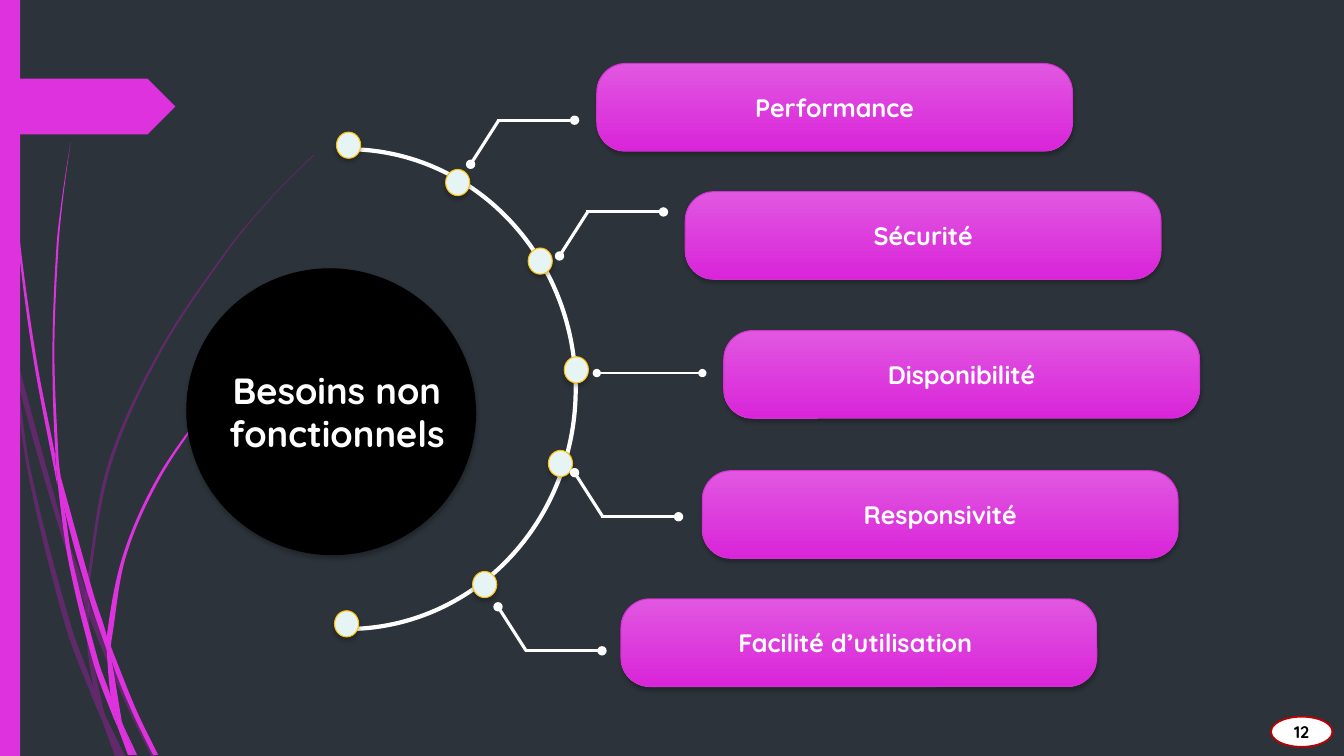
from dataclasses import dataclass
from math import hypot
from typing import NamedTuple

from lxml.etree import SubElement
from pptx import Presentation
from pptx.dml.color import RGBColor
from pptx.enum.shapes import MSO_CONNECTOR, MSO_SHAPE
from pptx.enum.text import MSO_ANCHOR, MSO_AUTO_SIZE, PP_ALIGN
from pptx.oxml.ns import qn
from pptx.util import Cm, Pt

COLORS = {
    "background": "2C333A", "accent": "DE32DE", "faint": "B01CB0", "black": "000000",
    "white": "FFFFFF", "dot": "E6F4F4", "gold": "FFC000", "card_top": "E157E1",
    "card_bottom": "D925D9", "card_line": "D430D4", "badge_line": "C00000",
}
WISP_UNIT = Cm(0.0254)


class Box(NamedTuple):
    left: float
    top: float
    width: float
    height: float


@dataclass
class Leader:
    x: float
    y: float
    direction: int


@dataclass
class Card:
    text: str
    left: float
    top: float


FAINT_WISPS = [
    [(11, 350), (9, 322), (0, 282), (0, 299), (10, 344)],
    [(58, 522), (84, 599), (85, 586), (62, 520), (14, 345), (17, 376)],
    [(92, 607), (88, 596), (88, 610), (123, 694), (150, 750), (155, 750), (127, 692)],
    [(119, 750), (124, 750), (105, 711)],
    [(93, 683), (70, 619), (31, 469), (17, 376), (11, 350), (28, 470), (65, 621), (92, 693), (101, 714), (99, 707)],
    [(84, 599), (87, 646), (93, 683), (96, 692), (105, 711), (103, 706), (91, 646), (88, 610), (88, 608)],
    [(88, 584), (110, 462), (160, 349), (229, 245), (268, 198), (290, 175), (312, 154), (312, 153), (289, 175),
     (268, 197), (228, 244), (158, 348), (107, 461), (85, 584), (85, 586), (88, 596)],
    [(101, 714), (114, 750), (119, 750)],
    [(88, 608), (88, 610), (88, 596), (85, 586), (84, 599)],
    [(96, 692), (93, 683), (99, 707), (101, 714), (119, 750), (105, 711)],
]
ACCENT_WISPS = [
    [(7, 110), (17, 233), (33, 355), (56, 477), (57, 481), (55, 457), (55, 453), (36, 355), (19, 232), (8, 109),
     (5, 48), (4, 0), (3, 0), (4, 48)],
    [(88, 592), (106, 645), (106, 631), (93, 590), (60, 472), (64, 505)],
    [(113, 649), (110, 641), (111, 656), (132, 708), (152, 749), (157, 749), (136, 706)],
    [(110, 691), (98, 657), (72, 556), (64, 505), (57, 477), (68, 557), (93, 659), (111, 708), (117, 722),
     (116, 717)],
    [(60, 472), (58, 453), (54, 349), (58, 245), (63, 193), (70, 141), (62, 193), (56, 245), (52, 349), (55, 449)],
    [(133, 749), (136, 749), (122, 719)],
    [(57, 477), (64, 505), (60, 472), (55, 449), (55, 453)],
    [(111, 633), (125, 552), (158, 476), (205, 406), (231, 374), (245, 359), (261, 344), (260, 344), (245, 358),
     (231, 373), (204, 405), (156, 474), (122, 551), (106, 631), (110, 641)],
    [(117, 722), (127, 749), (131, 749)],
    [(106, 645), (110, 691), (116, 706), (122, 719), (121, 716), (111, 656), (109, 651)],
    [(106, 645), (109, 651), (111, 656), (110, 641), (106, 631)],
    [(116, 706), (110, 691), (116, 717), (117, 722), (130, 749), (133, 749), (122, 719)],
]
DOTS = [(8.48, 3.33), (8.43, 15.39), (13.82, 11.35), (14.22, 8.99), (13.31, 6.25), (11.23, 4.27), (11.91, 14.4)]
LEADERS = [Leader(11.86, 4.14, -1), Leader(14.1, 6.45, -1), Leader(14.48, 11.91, 1), Leader(12.55, 15.29, 1)]
CARDS = [Card("Performance", 15.04, 1.6), Card("Sécurité", 17.27, 4.83), Card("Disponibilité", 18.24, 8.33),
         Card("Responsivité", 17.7, 11.86), Card("Facilité d’utilisation ", 15.65, 15.09)]


def rgb(name: str) -> RGBColor:
    return RGBColor.from_string(COLORS[name])


def add_child(parent, tag: str, **attributes):
    return SubElement(parent, qn(tag), {key: str(value) for key, value in attributes.items()})


def add_shadow(shape) -> None:
    effects = shape._element.spPr.find(qn("a:effectLst"))
    shadow = add_child(effects, "a:outerShdw", blurRad=Pt(3), dist=Pt(2), dir=90 * 60000, rotWithShape=0)
    add_child(add_child(shadow, "a:srgbClr", val=COLORS["black"]), "a:alpha", val=25000)


def paint(shape, fill: str | None, line: str | None = None, line_width: float = 0.75) -> None:
    shape.shadow.inherit = False
    if fill:
        shape.fill.solid()
        shape.fill.fore_color.rgb = rgb(fill)
    else:
        shape.fill.background()
    if line:
        shape.line.color.rgb = rgb(line)
        shape.line.width = Pt(line_width)
    else:
        shape.line.fill.background()


def add_shape(slide, kind, box: Box, fill: str | None, line: str | None = None, line_width: float = 0.75):
    shape = slide.shapes.add_shape(kind, *(Cm(value) for value in box))
    paint(shape, fill, line, line_width)
    return shape


def write(shape, text: str, size: float, color: str, anchor) -> None:
    frame = shape.text_frame
    frame.text = text
    frame.word_wrap = True
    frame.vertical_anchor = anchor
    frame.paragraphs[0].alignment = PP_ALIGN.CENTER
    font = frame.paragraphs[0].runs[0].font
    for name, value in {"name": "Quicksand", "size": Pt(size), "bold": True}.items():
        setattr(font, name, value)
    font.color.rgb = rgb(color)


def direction(before, knot, after) -> tuple[float, float]:
    """Unit tangent at a knot, or zero where the outline has a corner."""
    (ax, ay), (bx, by) = [(q[0] - p[0], q[1] - p[1]) for p, q in ((before, knot), (knot, after))]
    if ax * bx + ay * by < 0.7 * hypot(ax, ay) * hypot(bx, by):
        return 0, 0
    length = hypot(ax + bx, ay + by)
    return (ax + bx) / length, (ay + by) / length


def curve_outline(shape) -> None:
    """Turn the straight sides of a closed freeform into smooth curves."""
    sides = list(shape._element.iter(qn("a:lnTo")))
    knots = [(int(side[0].get("x")), int(side[0].get("y"))) for side in sides]
    count = len(knots)
    tangents = [direction(knots[i - 1], knots[i], knots[(i + 1) % count]) for i in range(count)]
    for i, side in enumerate(sides):
        start, end = knots[i - 1], knots[i]
        reach = hypot(end[0] - start[0], end[1] - start[1]) / 3
        controls = [[round(start[axis] + reach * tangents[i - 1][axis]) for axis in (0, 1)],
                    [round(end[axis] - reach * tangents[i][axis]) for axis in (0, 1)]]
        curve = add_child(side.getparent(), "a:cubicBezTo")
        for x, y in (*controls, end):
            add_child(curve, "a:pt", x=x, y=y)
        side.getparent().replace(side, curve)


def add_wisp(slide, knots: list[tuple[int, int]], color: str, opacity: int) -> None:
    points = [(x * WISP_UNIT, y * WISP_UNIT) for x, y in knots]
    builder = slide.shapes.build_freeform(*points[0])
    builder.add_line_segments(points[1:] + points[:1], close=True)
    shape = builder.convert_to_shape()
    curve_outline(shape)
    paint(shape, color)
    if opacity < 100:
        add_child(shape._element.spPr.find(qn("a:solidFill"))[0], "a:alpha", val=opacity * 1000)


def add_line(slide, start: tuple[float, float], end: tuple[float, float], width: float, *ovals: str) -> None:
    """Draw a white line; ovals names its rounded ends (headEnd, tailEnd)."""
    line = slide.shapes.add_connector(MSO_CONNECTOR.STRAIGHT, *(Cm(value) for value in (*start, *end)))
    line.line.color.rgb = rgb("white")
    line.line.width = Pt(width)
    for oval in ovals:
        add_child(line._element.spPr.find(qn("a:ln")), f"a:{oval}", type="oval")
    add_child(line._element.spPr, "a:effectLst")


def add_leader(slide, leader: Leader) -> None:
    x, level = leader.x, leader.y + 1.11 * leader.direction
    add_line(slide, (x, leader.y), (x + 0.71, level), 2.25, "headEnd")
    add_line(slide, (x + 0.67, level), (x + 2.62, level), 2.25, "tailEnd")


def add_card(slide, card: Card) -> None:
    box = Box(card.left, card.top, 11.99, 2.21)
    shape = add_shape(slide, MSO_SHAPE.ROUNDED_RECTANGLE, box, "card_top", "card_line")
    add_shadow(shape)
    shape.adjustments[0] = 0.33
    shape.fill.gradient()
    shape.fill.gradient_angle = 270
    for stop, color in zip(shape.fill.gradient_stops, ("card_top", "card_bottom")):
        stop.color.rgb = rgb(color)
    write(shape, card.text, 18, "white", MSO_ANCHOR.MIDDLE)


def main() -> None:
    presentation = Presentation()
    presentation.slide_width, presentation.slide_height = Cm(33.87), Cm(19.05)
    slide = presentation.slides.add_slide(presentation.slide_layouts[5])
    slide.background.fill.solid()
    slide.background.fill.fore_color.rgb = rgb("background")
    for wisps, color, opacity in ((FAINT_WISPS, "faint", 40), (ACCENT_WISPS, "accent", 100)):
        for knots in wisps:
            add_wisp(slide, knots, color, opacity)
    add_shape(slide, MSO_SHAPE.RECTANGLE, Box(0, 0, 0.51, 19.05), "accent")
    add_shape(slide, MSO_SHAPE.PENTAGON, Box(0, 1.98, 4.42, 1.41), "accent")
    circle = add_shape(slide, MSO_SHAPE.OVAL, Box(4.75, 6.73, 7.19, 7.29), "black", "black")
    circle.rotation = 111.3
    add_shadow(circle)
    title = slide.shapes.title
    title.left, title.top, title.width, title.height = Cm(5.47), Cm(9.14), Cm(6.05), Cm(2.49)
    write(title, "Besoins non fonctionnels", 26, "white", MSO_ANCHOR.TOP)
    title.text_frame.auto_size = MSO_AUTO_SIZE.SHAPE_TO_FIT_TEXT
    circle._element.addnext(title._element)
    arc = add_shape(slide, MSO_SHAPE.ARC, Box(3, 3.76, 11.51, 12.09), None, "white", 3)
    arc.adjustments[0], arc.adjustments[1] = 162, 54.02
    for left, top in DOTS:
        add_shadow(add_shape(slide, MSO_SHAPE.OVAL, Box(left, top, 0.61, 0.66), "dot", "gold"))
    for leader in LEADERS:
        add_leader(slide, leader)
    add_line(slide, (15.04, 9.4), (17.7, 9.4), 1.25, "headEnd", "tailEnd")
    for card in CARDS:
        add_card(slide, card)
    badge_box = Box(32.03, 18.06, 1.55, 0.76)
    badge = add_shape(slide, MSO_SHAPE.FLOWCHART_CONNECTOR, badge_box, "white", "badge_line", 1.25)
    write(badge, "12", 12, "black", MSO_ANCHOR.MIDDLE)
    presentation.save("out.pptx")


if __name__ == "__main__":
    main()
